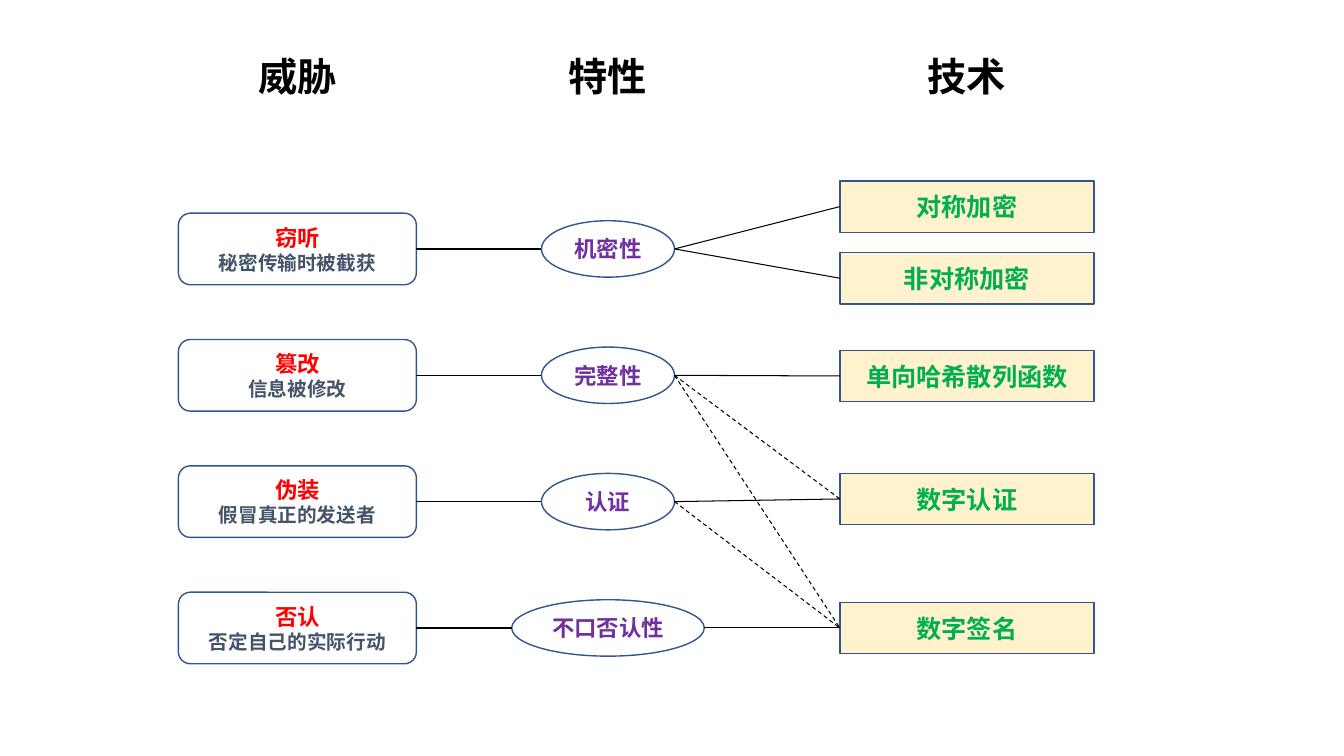
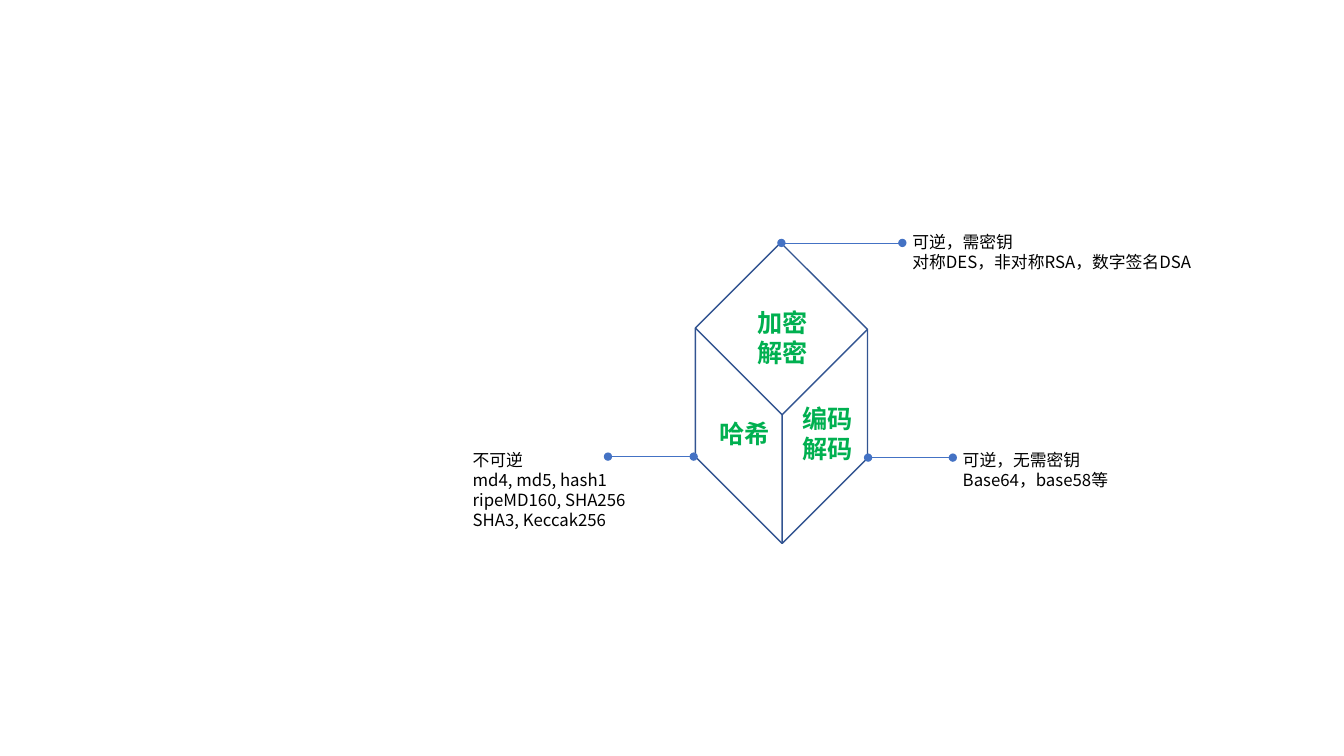
from lxml import etree
from pptx import Presentation
from pptx.dml.color import RGBColor
from pptx.enum.dml import MSO_LINE
from pptx.enum.shapes import MSO_CONNECTOR, MSO_SHAPE
from pptx.enum.text import MSO_ANCHOR, PP_ALIGN
from pptx.oxml.ns import qn
from pptx.util import Inches, Pt

STRAIGHT = MSO_CONNECTOR.STRAIGHT
DASH = MSO_LINE.DASH
ROUNDED, OVAL, BOX, CUBE = (MSO_SHAPE.ROUNDED_RECTANGLE, MSO_SHAPE.OVAL,
                            MSO_SHAPE.RECTANGLE, MSO_SHAPE.CUBE)
LEFT, CENTER = PP_ALIGN.LEFT, PP_ALIGN.CENTER

FONT = "Noto Sans CJK SC"
LINE_HEIGHT = 1.2
COLORS = {
    "text": "000000",
    "outline": "325491",
    "callout": "4472C4",
    "threat": "FF0000",
    "detail": "44546A",
    "property": "7030A0",
    "technique": "00B050",
    "technique_fill": "FFF2CC",
}
COLORS = {part: RGBColor.from_string(code) for part, code in COLORS.items()}


def write(shape, lines, styles, align=LEFT, wrap=True):
    frame = shape.text_frame
    frame.text = "\n".join(lines)
    frame.word_wrap = wrap
    for paragraph, (size, color, bold) in zip(frame.paragraphs, styles):
        paragraph.alignment = align
        paragraph.line_spacing = Pt(round(size * LINE_HEIGHT, 1))
        for run in paragraph.runs:
            run.font.size = Pt(size)
            run.font.bold = bold
            run.font.color.rgb = COLORS[color]
            run.font.name = FONT
            etree.SubElement(run.font._element, qn("a:ea"), typeface=FONT)


def join(slide, start, end, color, weight):
    link = slide.shapes.add_connector(
        STRAIGHT, *[Inches(length) for length in (*start, *end)])
    link.line.color.rgb = COLORS[color]
    link.line.width = Pt(weight)
    etree.SubElement(link._element.spPr, qn("a:effectLst"))
    return link


deck = Presentation()
deck.slide_width, deck.slide_height = Inches(13.33), Inches(7.5)
blank = deck.slide_layouts[6]

threat_map = deck.slides.add_slide(blank)
columns = [2.95, 6.03, 9.59]
first_row, last_row = 2.47, 6.23
rows = [first_row + i * (last_row - first_row) / 3 for i in range(4)]
technique_rows = [2.05, 2.76, 3.73, 4.95, 6.23]

for heading, center in zip(["威胁", "特性", "技术"], columns):
    box = threat_map.shapes.add_textbox(
        Inches(center - 0.5), Inches(0.47), Inches(1), Inches(0.57))
    write(box, [heading], [(28, "text", True)], CENTER, False)

threats = [
    ["窃听", "秘密传输时被截获"],
    ["篡改", "信息被修改"],
    ["伪装", "假冒真正的发送者"],
    ["否认", "否定自己的实际行动"],
]
properties = [["机密性"], ["完整性"], ["认证"], ["不口否认性"]]
techniques = [["对称加密"], ["非对称加密"], ["单向哈希散列函数"], ["数字认证"], ["数字签名"]]
threat_width, technique_width = 2.36, 2.52
property_widths = [1.32, 1.32, 1.32, 1.91]

threat_styles = [(16, "threat", True), (14, "detail", True)]
node_columns = [
    (ROUNDED, threats, rows, [threat_width] * 4, 0.71, threat_styles, None),
    (OVAL, properties, rows, property_widths, 0.56,
     [(16, "property", True)], None),
    (BOX, techniques, technique_rows, [technique_width] * 5, 0.51,
     [(18, "technique", True)], "technique_fill"),
]
for center, column in zip(columns, node_columns):
    outline, labels, middles, widths, height, styles, fill = column
    for lines, middle, width in zip(labels, middles, widths):
        node = threat_map.shapes.add_shape(
            outline, Inches(center - width / 2), Inches(middle - height / 2),
            Inches(width), Inches(height))
        node.shadow.inherit = False
        node.line.color.rgb = COLORS["outline"]
        node.line.width = Pt(1)
        if fill:
            node.fill.solid()
            node.fill.fore_color.rgb = COLORS[fill]
        else:
            node.fill.background()
        node.text_frame.vertical_anchor = MSO_ANCHOR.MIDDLE
        write(node, lines, styles, CENTER)

threat_edge = columns[0] + threat_width / 2
technique_edge = columns[2] - technique_width / 2
for row, width in zip(rows, property_widths):
    join(threat_map, (threat_edge, row), (columns[1] - width / 2, row), "text", 1)

solid_pairs = [(0, 0), (0, 1), (1, 2), (2, 3), (3, 4)]
dashed_pairs = [(1, 3), (2, 4), (1, 4)]
for prop, technique in solid_pairs + dashed_pairs:
    link = join(threat_map,
                (columns[1] + property_widths[prop] / 2, rows[prop]),
                (technique_edge, technique_rows[technique]), "text", 0.75)
    if (prop, technique) in dashed_pairs:
        link.line.dash_style = DASH

cube_map = deck.slides.add_slide(blank)
cube = cube_map.shapes.add_shape(
    CUBE, Inches(6.7), Inches(2.84), Inches(2.1), Inches(2.12))
cube.adjustments[0] = 0.43
cube.rotation = 135
cube.shadow.inherit = False
cube.fill.background()
cube.line.color.rgb = COLORS["outline"]
cube.line.width = Pt(1)

faces = [
    (["加密", "解密"], 7.41, 3, 0.71),
    (["哈希"], 7.04, 4.1, 0.4),
    (["编码", "解码"], 7.86, 3.95, 0.71),
]
for lines, left, top, height in faces:
    face = cube_map.shapes.add_textbox(
        Inches(left), Inches(top), Inches(0.71), Inches(height))
    write(face, lines, [(18, "technique", True)] * len(lines), wrap=False)

callouts = [
    (["可逆，需密钥", "对称DES，非对称RSA，数字签名DSA"],
     (7.75, 8.95, 2.41), (8.95, 2.25, 3.05, 0.7)),
    (["可逆，无需密钥", "Base64，base58等"],
     (8.61, 9.45, 4.54), (9.45, 4.41, 1.68, 0.7)),
    (["不可逆", "md4, md5, hash1", "ripeMD160, SHA256", "SHA3, Keccak256"],
     (6.03, 6.88, 4.53), (4.59, 4.41, 1.83, 0.91)),
]
for lines, (start, end, level), place in callouts:
    leader = join(cube_map, (start, level), (end, level), "callout", 0.5)
    for tip in ("a:headEnd", "a:tailEnd"):
        etree.SubElement(leader.line._get_or_add_ln(), qn(tip), type="oval")
    note = cube_map.shapes.add_textbox(*[Inches(length) for length in place])
    write(note, lines, [(12, "text", False)] * len(lines))

deck.save("out.pptx")
